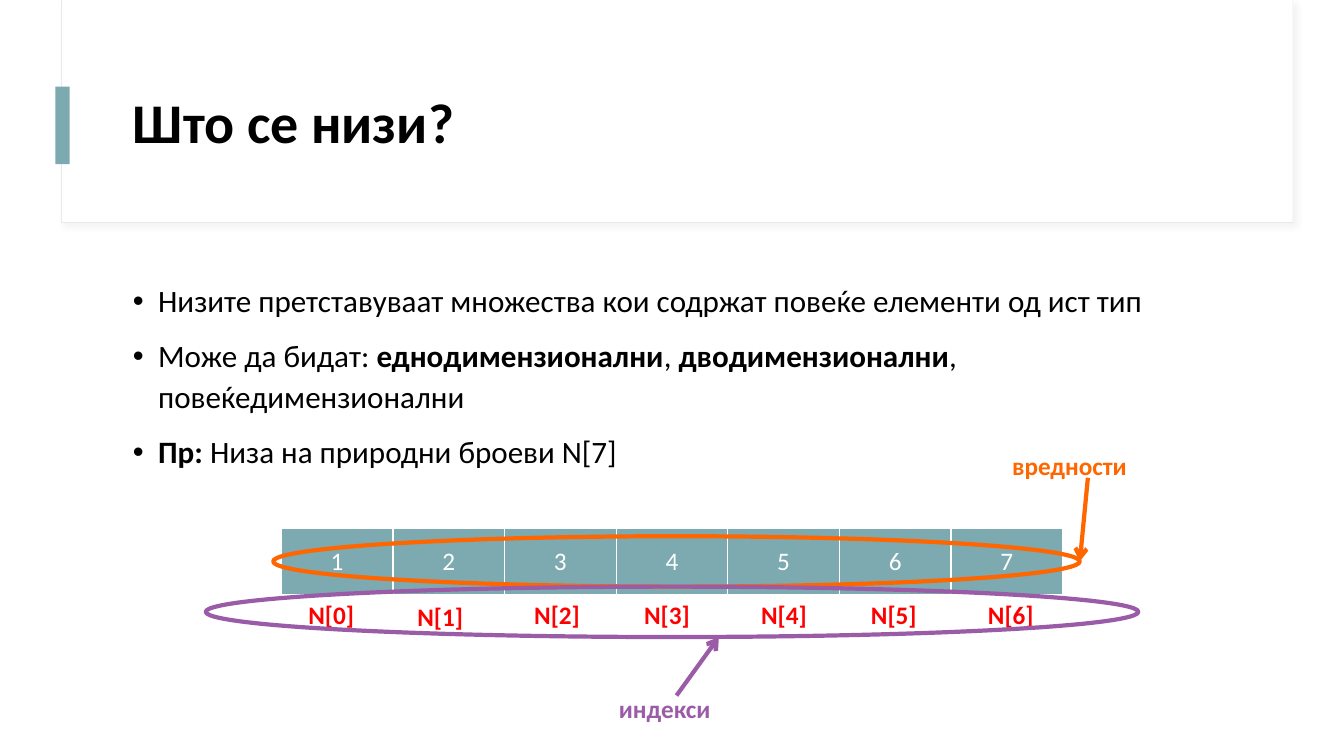
import pptx
import pptx.util
import pptx.dml.color
import pptx.enum.shapes
import pptx.enum.text
import pptx.oxml
import pptx.oxml.ns
from lxml import etree

Inches, Pt = pptx.util.Inches, pptx.util.Pt
Color = pptx.dml.color.RGBColor
Shape = pptx.enum.shapes.MSO_SHAPE
Align = pptx.enum.text.PP_ALIGN
Anchor = pptx.enum.text.MSO_ANCHOR
qn = pptx.oxml.ns.qn
NS = pptx.oxml.ns.nsdecls("a")

BLACK = Color(0x00, 0x00, 0x00)
WHITE = Color(0xFF, 0xFF, 0xFF)
TEAL = Color(0x7D, 0xA9, 0xB1)
PALE = Color(0xE5, 0xEA, 0xF0)
RED = Color(0xFF, 0x00, 0x00)
ORANGE = Color(0xFF, 0x66, 0x00)
PURPLE = Color(0x9B, 0x5C, 0xA7)

TITLE = "Што се низи?"
# Each bullet is a list of (text, bold) runs.
BULLETS = [
    [("Низите претставуваат множества кои содржат повеќе елементи од ист тип", False)],
    [("Може да бидат: ", False), ("еднодимензионални", True), (", ", False),
     ("дводимензионални", True), (", повеќедимензионални", False)],
    [("Пр: ", True), ("Низа на природни броеви N[7]", False)],
]
VALUES = [1, 2, 3, 4, 5, 6, 7]
TABLE = (2.79, 5.24, 7.75, 0.67)
# Left and top of each index label, in order.
SPOTS = [(2.96, 5.9), (4.04, 5.92), (5.2, 5.9), (6.29, 5.9),
         (7.45, 5.9), (8.54, 5.9), (9.7, 5.9)]
# Caption, its box, the ring, the arrow's two ends, color.
NOTES = [
    ("вредности", (9.94, 4.42, 1.6, 0.4), (2.71, 5.32, 8, 0.5),
     (10.79, 4.74, 10.71, 5.57), ORANGE),
    ("индекси", (6.04, 6.83, 1.33, 0.4), (2.04, 5.82, 9.25, 0.5),
     (6.71, 6.9, 7.13, 6.32), PURPLE),
]
SHADOW = (f'<a:effectLst {NS}><a:outerShdw blurRad="50800" dist="38100" dir="2700000" '
          'algn="tl" rotWithShape="0"><a:srgbClr val="D9D9D9"><a:alpha val="30000"/>'
          '</a:srgbClr></a:outerShdw></a:effectLst>')


def inch(nums):
    return [Inches(n) for n in nums]


def write(frame, paras, size=18, color=BLACK, bold=False, align=Align.LEFT,
          anchor=Anchor.TOP, wrap=True, space=None, before=0, bullet=False):
    """Fill a text frame; each paragraph is a string or a list of (text, bold)."""
    frame.word_wrap = wrap
    frame.vertical_anchor = anchor
    for i, runs in enumerate(paras):
        para = frame.add_paragraph() if i else frame.paragraphs[0]
        para.alignment = align
        para.line_spacing = space
        para.space_before = Pt(before)
        if bullet:
            props = para._p.get_or_add_pPr()
            props.set("marL", str(Inches(0.25)))
            props.set("indent", str(-Inches(0.25)))
            etree.SubElement(props, qn("a:buFont")).set("typeface", "Arial")
            etree.SubElement(props, qn("a:buChar")).set("char", "•")
        for text, heavy in [(runs, bold)] if isinstance(runs, str) else runs:
            run = para.add_run()
            run.text = text
            font = run.font
            font.name, font.size, font.bold = "Calibri", Pt(size), heavy
            font.color.rgb = color


def label(slide, box, paras, **style):
    write(slide.shapes.add_textbox(*inch(box)).text_frame, paras, **style)


def block(slide, kind, box, fill=None, line=None, width=0.75):
    shape = slide.shapes.add_shape(kind, *inch(box))
    shape.shadow.inherit = False
    if fill is None:
        shape.fill.background()
    else:
        shape.fill.solid()
        shape.fill.fore_color.rgb = fill
    if line is None:
        shape.line.fill.background()
    else:
        shape.line.color.rgb = line
        shape.line.width = Pt(width)
    return shape


def arrow(slide, ends, color):
    link = slide.shapes.add_connector(
        pptx.enum.shapes.MSO_CONNECTOR.STRAIGHT, *inch(ends))
    link.line.color.rgb = color
    link.line.width = Pt(3)
    etree.SubElement(link.line._get_or_add_ln(), qn("a:tailEnd")).set("type", "arrow")
    etree.SubElement(link._element.spPr, qn("a:effectLst"))


def border(cell):
    """Draw white cell edges, with a thicker one below."""
    props = cell._tc.get_or_add_tcPr()
    for i, (side, width) in enumerate([("L", 1), ("R", 1), ("T", 1), ("B", 3)]):
        props.insert(i, pptx.oxml.parse_xml(
            f'<a:ln{side} {NS} w="{Pt(width)}"><a:solidFill>'
            f'<a:srgbClr val="{WHITE}"/></a:solidFill></a:ln{side}>'))


def grid(slide):
    table = slide.shapes.add_table(1, len(VALUES), *inch(TABLE)).table
    for col, value in enumerate(VALUES):
        table.columns[col].width = Inches(TABLE[2] / len(VALUES))
        cell = table.cell(0, col)
        cell.fill.solid()
        cell.fill.fore_color.rgb = TEAL
        border(cell)
        write(cell.text_frame, [str(value)], color=WHITE, align=Align.CENTER)
        cell.vertical_anchor = Anchor.MIDDLE


def main():
    deck = pptx.Presentation()
    deck.slide_width, deck.slide_height = inch((13.33, 7.5))
    slide = deck.slides.add_slide(deck.slide_layouts[6])

    frame = block(slide, Shape.RECTANGLE, (0.61, 0, 12.21, 2.21), WHITE, PALE)
    props = frame._element.spPr
    props.replace(props.find(qn("a:effectLst")), pptx.oxml.parse_xml(SHADOW))
    block(slide, Shape.RECTANGLE, (0.62, 0, 12.2, 2.2), WHITE)
    block(slide, Shape.RECTANGLE, (0.55, 0.86, 0.14, 0.77), TEAL)

    label(slide, (1.22, 0.6, 11.12, 1.29), [TITLE], size=40, bold=True,
          anchor=Anchor.MIDDLE, space=0.9)
    label(slide, (1.22, 2.71, 11.12, 2.36), BULLETS, size=22.2,
          space=1.1, before=10, bullet=True)
    grid(slide)
    for i, spot in enumerate(SPOTS):
        label(slide, (*spot, 0.75, 0.4), [f"N[{i}]"], color=RED, bold=True, wrap=False)
    for text, box, ring, ends, color in NOTES:
        block(slide, Shape.OVAL, ring, line=color, width=3)
        arrow(slide, ends, color)
        label(slide, box, [text], color=color, bold=True, wrap=False)
    deck.save("out.pptx")


if __name__ == "__main__":
    main()
